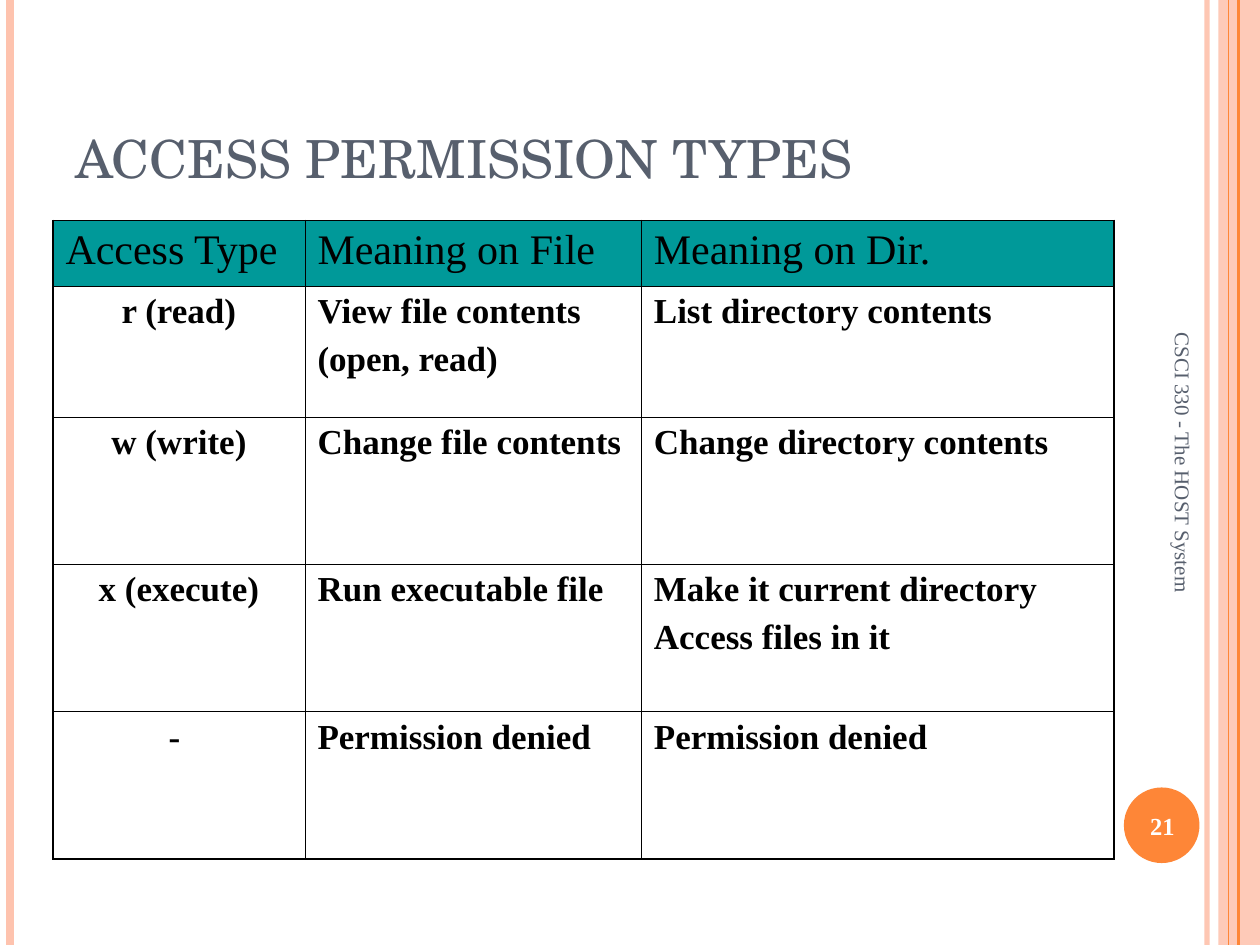
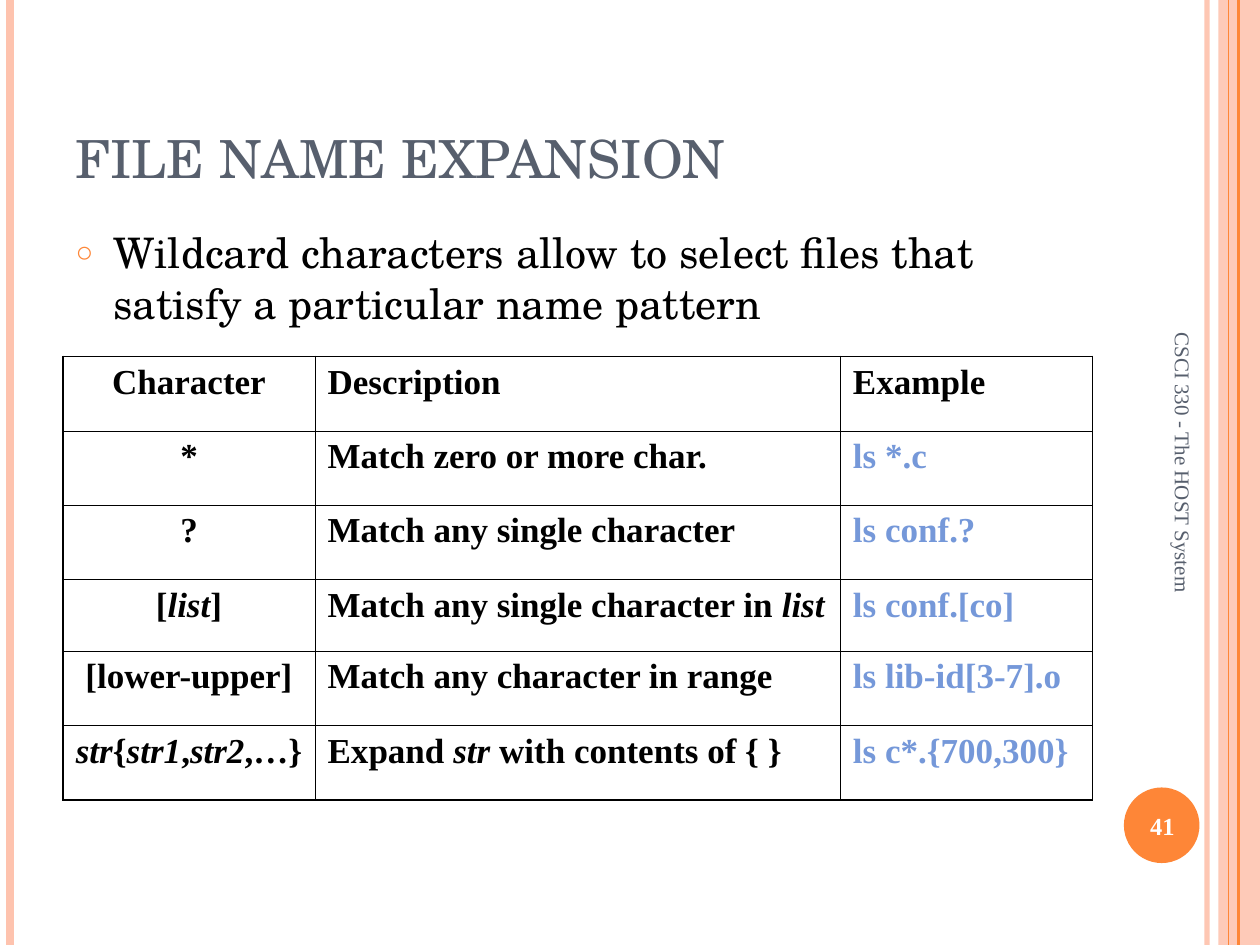
from pptx import Presentation
from pptx.dml.color import RGBColor
from pptx.enum.shapes import MSO_CONNECTOR, MSO_SHAPE
from pptx.enum.text import MSO_ANCHOR, MSO_AUTO_SIZE, PP_ALIGN
from pptx.oxml import parse_xml
from pptx.oxml.ns import nsdecls
from pptx.util import Inches, Pt

COLOURS = {
    "peach": "FEC3AE",
    "orange": "FE8637",
    "slate": "575F6D",
    "teal": "009999",
    "blue": "7598D9",
    "black": "000000",
    "white": "FFFFFF",
}
SERIF = "Times New Roman"
DISPLAY = "TeX Gyre Schola"
TITLE_ONLY, TITLE_AND_BODY = 5, 1
OUTER_BORDER, INNER_BORDER = 1.08, 0.45

# x, colour, width in points, opacity in percent
SIDE_RULES = [
    (9.58, "peach", 3, 93),
    (0.08, "peach", 4.5, 100),
    (9.83, "orange", 1.5, 100),
    (9.75, "orange", 0.75, 100),
]

PERMISSIONS = [
    ("Access Type", "Meaning on File", "Meaning on Dir."),
    ("r (read)", "View file contents\n(open, read)", "List directory contents"),
    ("w (write)", "Change file contents", "Change directory contents"),
    ("x (execute)", "Run executable file",
     "Make it current directory\nAccess files in it"),
    ("- ", "Permission denied", "Permission denied"),
]

# Underscores enclose italic words
WILDCARDS = [
    ("Character", "Description", "Example"),
    ("*", "Match zero or more char.", "ls *.c"),
    ("?", "Match any single character", "ls conf.?"),
    ("[_list_]", "Match any single character in _list_", "ls conf.[co]"),
    ("[lower-upper]", "Match any character in range", "ls lib-id[3-7].o"),
    ("_str_{_str1_,_str2_,…}", "Expand _str_ with contents of { }",
     "ls c*.{700,300}"),
]


def rgb(name):
    return RGBColor.from_string(COLOURS[name])


def inches(box):
    return [Inches(length) for length in box]


def set_opacity(shape, percent):
    for colour in shape.element.spPr.xpath(".//a:srgbClr"):
        colour.append(parse_xml(
            f'<a:alpha {nsdecls("a")} val="{percent * 1000}"/>'))


def add_bullet(para, colour):
    properties = para._p.get_or_add_pPr()
    properties.set("marL", str(Inches(0.3)))
    properties.set("indent", str(-Inches(0.3)))
    for xml in (
        f'<a:buClr {nsdecls("a")}><a:srgbClr val="{COLOURS[colour]}"/></a:buClr>',
        f'<a:buSzPct {nsdecls("a")} val="70000"/>',
        f'<a:buChar {nsdecls("a")} char="○"/>',
    ):
        properties.append(parse_xml(xml))


def write(frame, text, size=20, font=SERIF, colour="black", bold=False,
          align=PP_ALIGN.LEFT, gap=0, bullet=None):
    """Fill a text frame: one paragraph a line, italics between underscores."""
    frame.word_wrap = True
    for number, line in enumerate(text.split("\n")):
        para = frame.add_paragraph() if number else frame.paragraphs[0]
        if bullet:
            add_bullet(para, bullet)
        para.alignment = align
        para.space_before = Pt(gap if number else 0)
        for position, part in enumerate(line.split("_")):
            if not part:
                continue
            span = para.add_run()
            span.text = part
            span.font.name = font
            span.font.size = Pt(size)
            span.font.bold = bold
            span.font.italic = position % 2 == 1
            span.font.color.rgb = rgb(colour)


def fill_placeholder(holder, box, text, anchor, **style):
    holder.left, holder.top, holder.width, holder.height = inches(box)
    holder.text_frame.auto_size = MSO_AUTO_SIZE.NONE
    holder.text_frame.vertical_anchor = anchor
    write(holder.text_frame, text, font=DISPLAY, **style)


def add_label(page, box, text, rotation=0, **style):
    label = page.shapes.add_textbox(*inches(box))
    label.rotation = rotation
    label.text_frame.vertical_anchor = MSO_ANCHOR.MIDDLE
    write(label.text_frame, text, **style)


def add_plain_shape(page, kind, box, colour):
    shape = page.shapes.add_shape(kind, *inches(box))
    shape.shadow.inherit = False
    shape.fill.solid()
    shape.fill.fore_color.rgb = rgb(colour)
    shape.line.fill.background()
    return shape


def add_side_bands(page):
    band = add_plain_shape(page, MSO_SHAPE.RECTANGLE, (9.67, 0, 0.33, 7.5), "peach")
    set_opacity(band, 87)
    for x, colour, width, opacity in SIDE_RULES:
        rule = page.shapes.add_connector(
            MSO_CONNECTOR.STRAIGHT, *inches((x, 0, x, 7.5)))
        rule.line.color.rgb = rgb(colour)
        rule.line.width = Pt(width)
        rule.element.spPr.append(parse_xml(f'<a:effectLst {nsdecls("a")}/>'))
        if opacity < 100:
            set_opacity(rule, opacity)


def add_page(deck, layout, title, number):
    """Add a slide with its title, side bands, footer and page number."""
    page = deck.slides.add_slide(deck.slide_layouts[layout])
    add_side_bands(page)
    fill_placeholder(page.shapes.title, (0.5, 0.3, 8.17, 1.25), title,
                     MSO_ANCHOR.BOTTOM, size=30, colour="slate")
    add_plain_shape(page, MSO_SHAPE.OVAL, (8.92, 6.25, 0.6, 0.6), "orange")
    add_label(page, (8.89, 6.27, 0.67, 0.57), str(number), size=14,
              colour="white", bold=True, align=PP_ALIGN.CENTER)
    add_label(page, (7.64, 4.09, 3.5, 0.4), "CSCI 330 - The HOST System",
              rotation=90, size=12, colour="slate")
    return page


def set_borders(cell, outer_sides):
    properties = cell._tc.get_or_add_tcPr()
    for side in "LRTB":
        width = Pt(OUTER_BORDER if side in outer_sides else INNER_BORDER)
        properties.append(parse_xml(
            f'<a:ln{side} {nsdecls("a")} w="{width}"><a:solidFill>'
            f'<a:srgbClr val="{COLOURS["black"]}"/></a:solidFill></a:ln{side}>'))


def add_grid(page, left, top, widths, heights, rows, cell_style, header_fill=None):
    """Add a bordered table; cell_style(row, column) gives the text format."""
    last_row, last_column = len(heights) - 1, len(widths) - 1
    box = (left, top, sum(widths), sum(heights))
    table = page.shapes.add_table(len(heights), len(widths), *inches(box)).table
    table.first_row = table.horz_banding = False
    for column, width in zip(table.columns, widths):
        column.width = Inches(width)
    for row, height in zip(table.rows, heights):
        row.height = Inches(height)
    for r, texts in enumerate(rows):
        for c, text in enumerate(texts):
            cell = table.cell(r, c)
            edges = {"L": c == 0, "R": c == last_column,
                     "T": r == 0, "B": r == last_row}
            set_borders(cell, [side for side, outer in edges.items() if outer])
            if header_fill and r == 0:
                cell.fill.solid()
                cell.fill.fore_color.rgb = rgb(header_fill)
            else:
                cell.fill.background()
            write(cell.text_frame, text, gap=5, **cell_style(r, c))


def first_column_align(column):
    return PP_ALIGN.LEFT if column else PP_ALIGN.CENTER


def permission_style(row, column):
    if row == 0:
        return {"size": 24}
    return {"bold": True, "align": first_column_align(column)}


def wildcard_style(row, column):
    return {"bold": True, "align": first_column_align(column),
            "colour": "blue" if row and column == 2 else "black"}


def build_permissions(deck):
    page = add_page(deck, TITLE_ONLY, "ACCESS PERMISSION TYPES", 21)
    add_grid(page, 0.42, 1.75, [2, 2.67, 3.75], [0.52, 1.04] + [1.17] * 3,
             PERMISSIONS, permission_style, header_fill="teal")


def build_expansion(deck):
    page = add_page(deck, TITLE_AND_BODY, "FILE NAME EXPANSION", 41)
    fill_placeholder(
        page.placeholders[1], (0.5, 1.75, 8.17, 5.33),
        "Wildcard characters allow to select files that satisfy "
        "a particular name pattern",
        MSO_ANCHOR.TOP, size=24, bullet="orange")
    add_grid(page, 0.5, 2.83, [2, 4.17, 2], [0.59] * 3 + [0.57] + [0.59] * 2,
             WILDCARDS, wildcard_style)


def main():
    deck = Presentation()
    deck.slide_width, deck.slide_height = Inches(10), Inches(7.5)
    build_permissions(deck)
    build_expansion(deck)
    deck.save("out.pptx")


if __name__ == "__main__":
    main()
